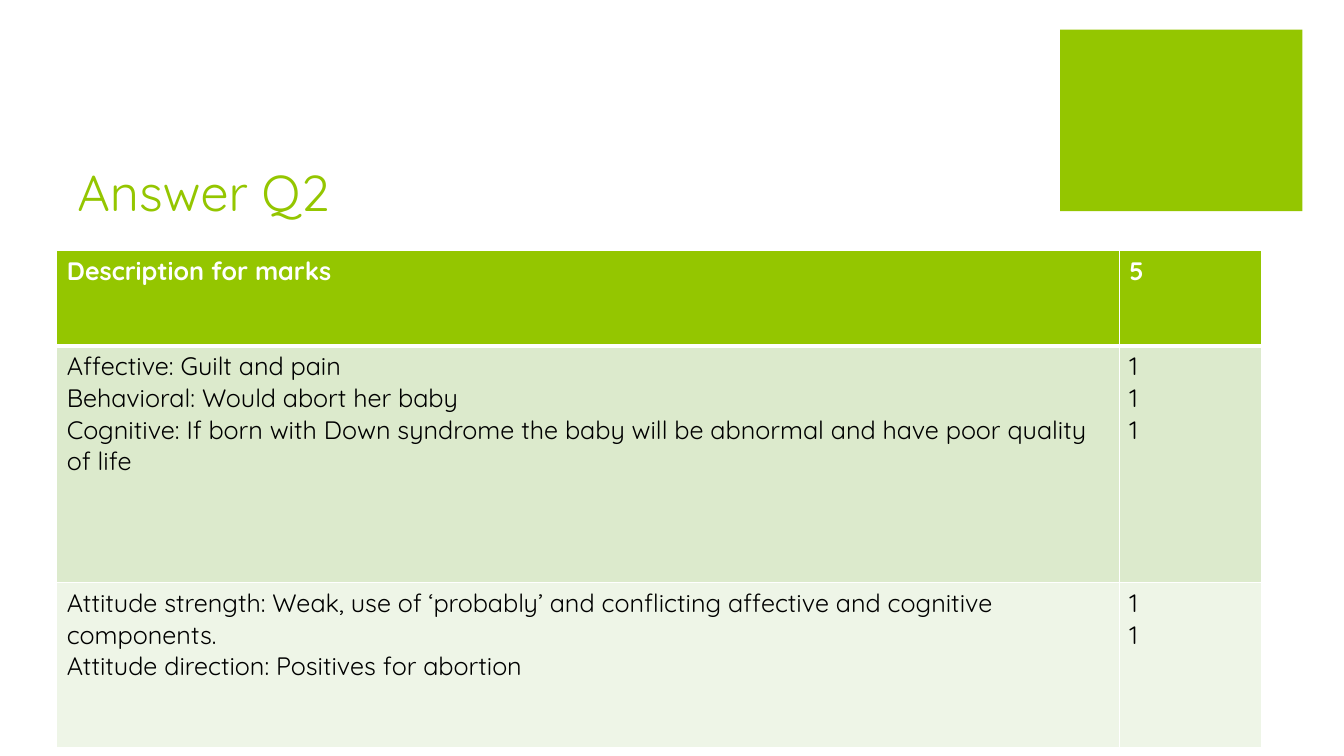
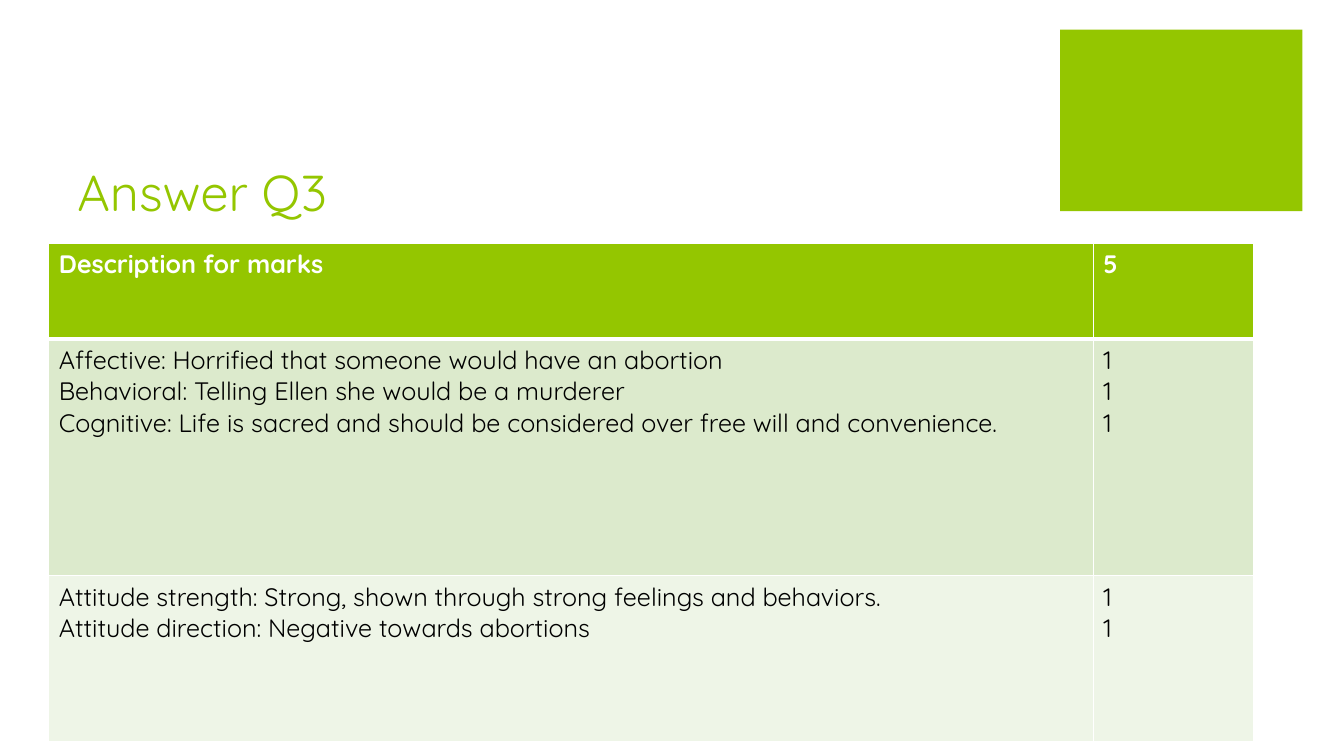
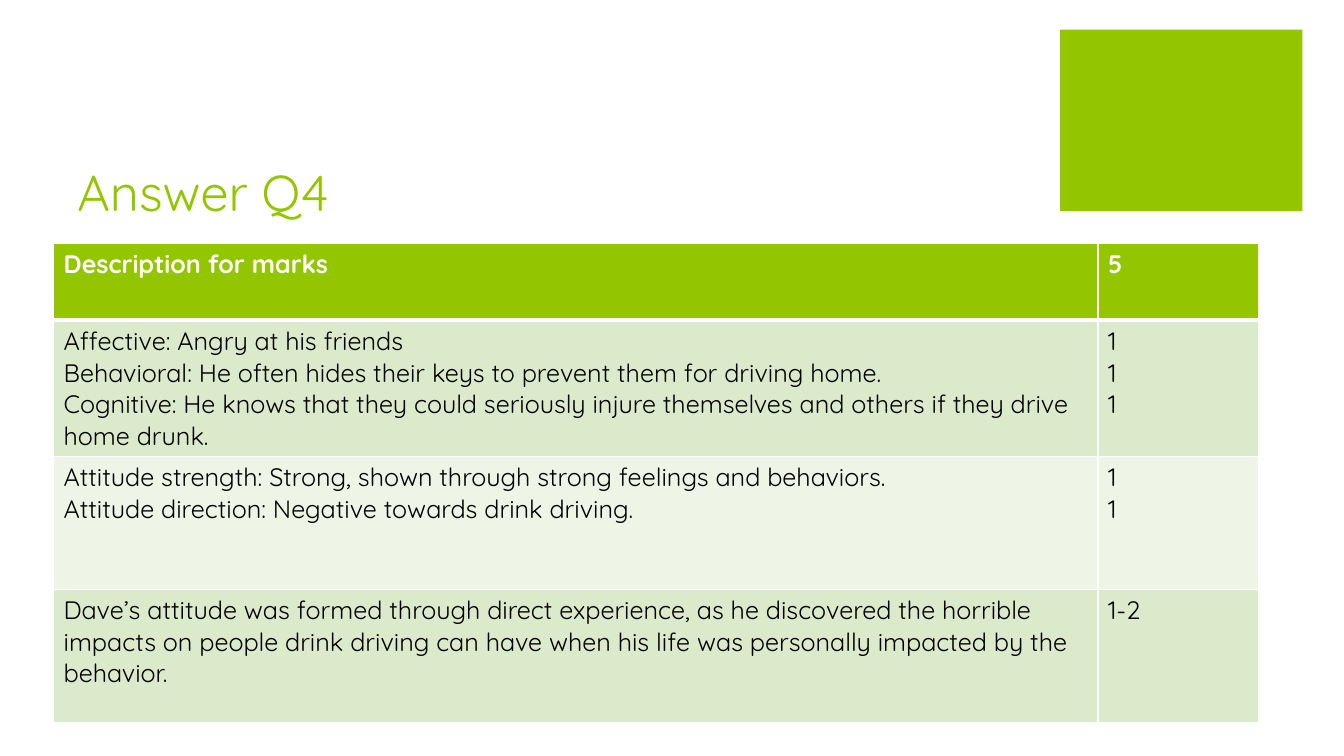
import pptx
import pptx.util
import pptx.dml.color
import pptx.enum.shapes
import pptx.enum.text
import pptx.oxml

Cm = pptx.util.Cm
Pt = pptx.util.Pt

FONT = "Quicksand"
GREEN, WHITE, BLACK = "94C600", "FFFFFF", "000000"
BANDS = ["DCEACC", "EEF5E7"]
HEAD = (["Description for marks"], ["5"])
STRONG = "Attitude strength: Strong, shown through strong feelings and behaviors."

SLIDES = [
    {
        "title": "Answer Q2",
        "at": (1.43, 6.31),
        "cols": (26.78, 3.59),
        "heights": (2.4, 5.97, 4.17),
        "rows": [
            (["Affective: Guilt and pain",
              "Behavioral: Would abort her baby",
              "Cognitive: If born with Down syndrome the baby will be abnormal "
              "and have poor quality of life"], ["1", "1", "1"]),
            (["Attitude strength: Weak, use of ‘probably’ and conflicting "
              "affective and cognitive components.",
              "Attitude direction: Positives for abortion"], ["1", "1"]),
        ],
    },
    {
        "title": "Answer Q3",
        "at": (1.23, 6.14),
        "cols": (26.32, 4.05),
        "heights": (2.4, 5.97, 4.17),
        "rows": [
            (["Affective: Horrified that someone would have an abortion",
              "Behavioral: Telling Ellen she would be a murderer",
              "Cognitive: Life is sacred and should be considered over free "
              "will and convenience."], ["1", "1", "1"]),
            ([STRONG, "Attitude direction: Negative towards abortions"],
             ["1", "1"]),
        ],
    },
    {
        "title": "Answer Q4",
        "at": (1.35, 6.14),
        "cols": (26.32, 4.05),
        "heights": (1.93, 3.43, 3.35, 3.35),
        "rows": [
            (["Affective: Angry at his friends",
              "Behavioral: He often hides their keys to prevent them for "
              "driving home.",
              "Cognitive: He knows that they could seriously injure themselves "
              "and others if they drive home drunk."], ["1", "1", "1"]),
            ([STRONG, "Attitude direction: Negative towards drink driving."],
             ["1", "1"]),
            (["Dave’s attitude was formed through direct experience, as he "
              "discovered the horrible impacts on people drink driving can "
              "have when his life was personally impacted by the behavior."],
             ["1-2"]),
        ],
    },
]


def color(code):
    return pptx.dml.color.RGBColor.from_string(code)


def paint(fill, code):
    fill.solid()
    fill.fore_color.rgb = color(code)


def write(frame, lines, size=18, ink=BLACK, bold=False):
    frame.word_wrap = True
    for n, line in enumerate(lines):
        para = frame.add_paragraph() if n else frame.paragraphs[0]
        run = para.add_run()
        run.text = line
        run.font.name = FONT
        run.font.size = Pt(size)
        run.font.bold = bold
        run.font.color.rgb = color(ink)


def border(cell, **widths):
    props = cell._tc.get_or_add_tcPr()
    for side in "LRTB":
        width = Pt(widths.get(side, 1))
        props.append(pptx.oxml.parse_xml(
            f'<a:ln{side} xmlns:a="http://schemas.openxmlformats.org/drawingml/2006/main" '
            f'w="{width}"><a:solidFill><a:srgbClr val="{WHITE}"/></a:solidFill></a:ln{side}>'))


def frame_slide(slide, title):
    block = slide.shapes.add_shape(
        pptx.enum.shapes.MSO_SHAPE.RECTANGLE, Cm(26.72), Cm(0.75), Cm(6.1), Cm(4.57))
    block.shadow.inherit = False
    paint(block.fill, GREEN)
    block.line.fill.background()
    box = slide.shapes.add_textbox(Cm(1.7), Cm(2.54), Cm(24.1), Cm(3.18))
    box.text_frame.vertical_anchor = pptx.enum.text.MSO_ANCHOR.BOTTOM
    write(box.text_frame, [title], size=36, ink=GREEN)


def add_marks(slide, at, cols, heights, rows):
    left, top = at
    table = slide.shapes.add_table(
        len(heights), len(cols), Cm(left), Cm(top),
        Cm(sum(cols)), Cm(sum(heights))).table
    for col, width in zip(table.columns, cols):
        col.width = Cm(width)
    for r, (height, row) in enumerate(zip(heights, [HEAD] + rows)):
        table.rows[r].height = Cm(height)
        for c, lines in enumerate(row):
            cell = table.cell(r, c)
            border(cell, T=3 if r == 1 else 1, B=3 if r == 0 else 1)
            paint(cell.fill, BANDS[(r - 1) % 2] if r else GREEN)
            write(cell.text_frame, lines, ink=BLACK if r else WHITE, bold=r == 0)


def main():
    deck = pptx.Presentation()
    deck.slide_width, deck.slide_height = Cm(33.87), Cm(19.05)
    for item in SLIDES:
        slide = deck.slides.add_slide(deck.slide_layouts[6])
        frame_slide(slide, item["title"])
        add_marks(slide, item["at"], item["cols"], item["heights"], item["rows"])
    deck.save("out.pptx")


if __name__ == "__main__":
    main()
